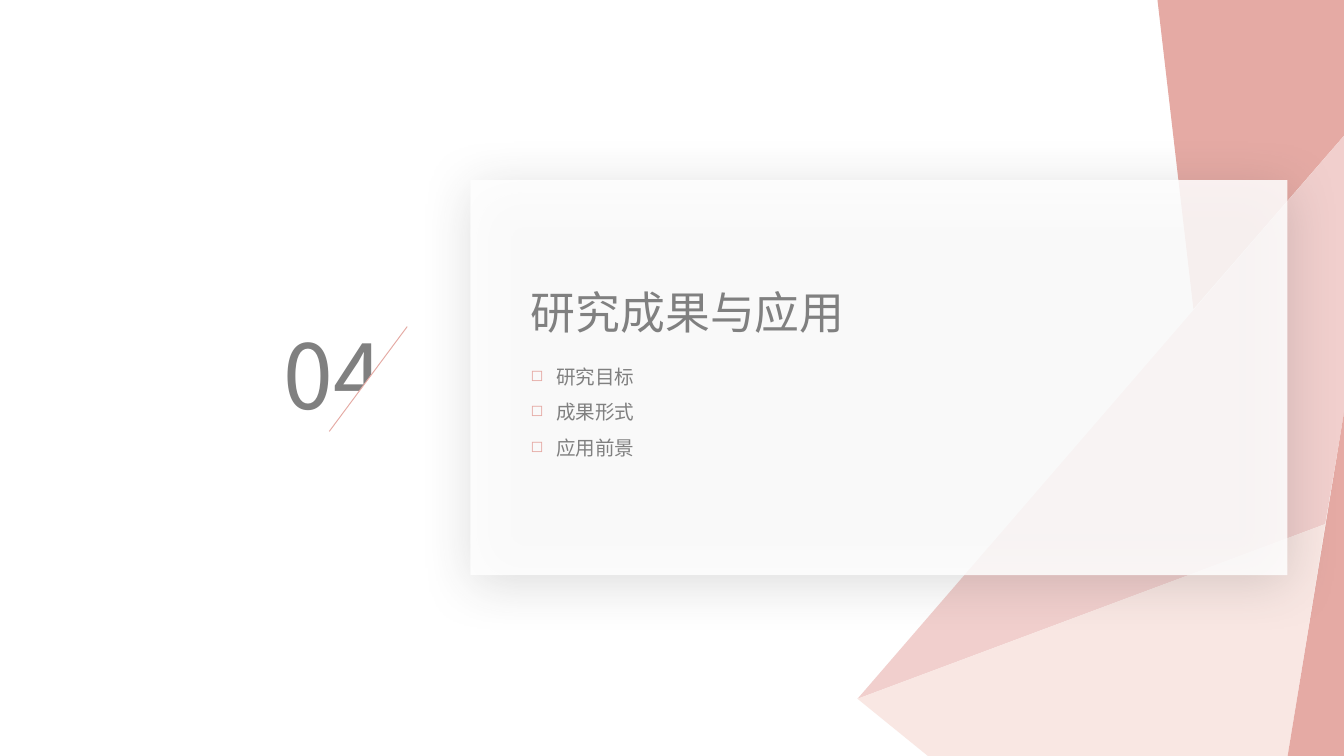
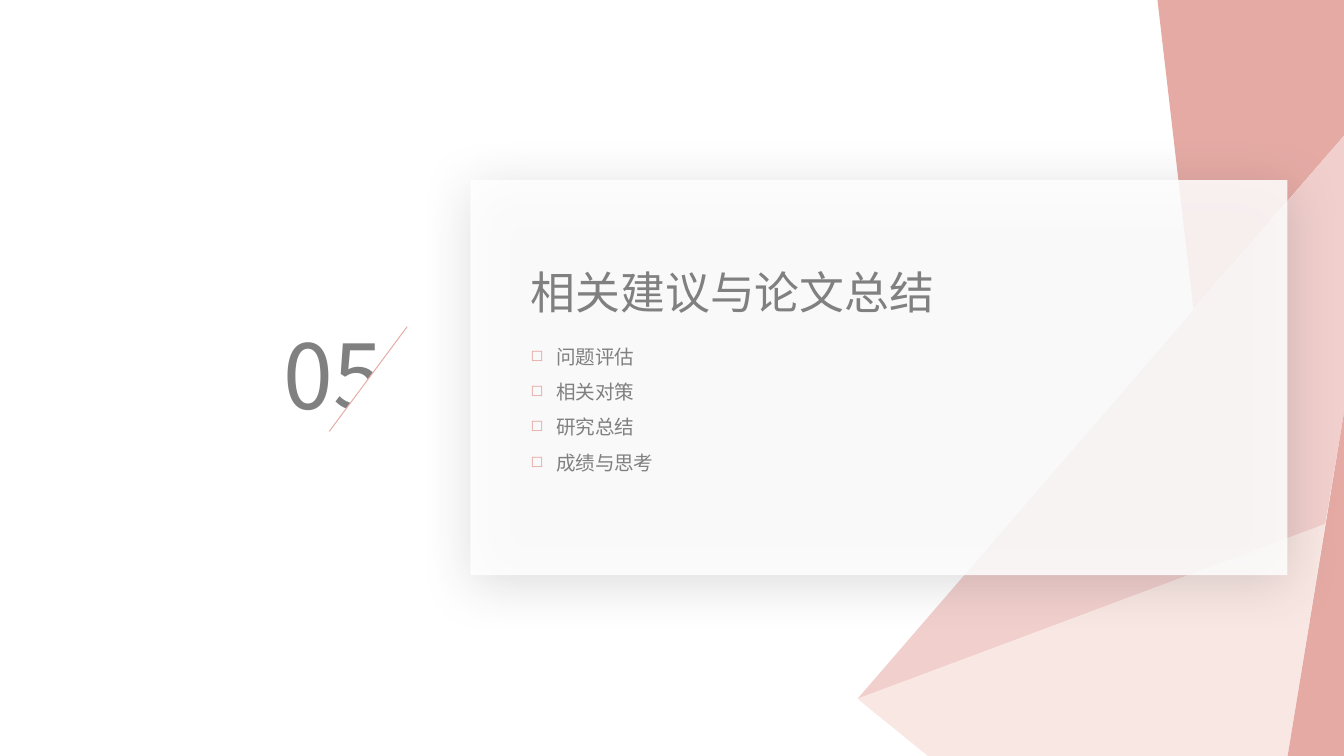
from dataclasses import dataclass

from lxml import etree
from pptx import Presentation
from pptx.dml.color import RGBColor
from pptx.enum.shapes import MSO_CONNECTOR, MSO_SHAPE
from pptx.enum.text import MSO_ANCHOR, MSO_AUTO_SIZE, PP_ALIGN
from pptx.oxml.ns import qn
from pptx.util import Inches, Pt

RECT = MSO_SHAPE.RECTANGLE
RIGHT_TRIANGLE = MSO_SHAPE.RIGHT_TRIANGLE
STRAIGHT = MSO_CONNECTOR.STRAIGHT
LEFT = PP_ALIGN.LEFT
TOP = MSO_ANCHOR.TOP
GROW = MSO_AUTO_SIZE.SHAPE_TO_FIT_TEXT
TITLE_ONLY = 5

FONT = "Noto Sans CJK SC"
WHITE = "FFFFFF"
GREY = "808080"
ROSE = "E5AAA4"
PINK = "F1CFCD"
CREAM = "F9E7E3"
SHADOW = "333333"

TEXT_LEFT = 3.85
LINE_PITCH = 0.26
TITLE_TO_LIST = 0.51


@dataclass(frozen=True)
class Facet:
    color: str
    points: tuple[tuple[float, float], ...]


@dataclass(frozen=True)
class Section:
    number: str
    title: str
    topics: tuple[str, ...]


FACETS = (
    Facet(ROSE, ((8.88, 2.3), (8.61, -0.02), (10, -0.02), (10, 1.01))),
    Facet(PINK, ((6.38, 5.2), (9.86, 3.9), (10, 3.07), (10, 1.01))),
    Facet(CREAM, ((6.38, 5.2), (6.91, 5.63), (9.58, 5.63), (9.86, 3.9))),
    Facet(ROSE, ((9.58, 5.63), (10, 5.63), (10, 3.07))),
)

SECTIONS = (
    Section("04", "研究成果与应用", ("研究目标", "成果形式", "应用前景")),
    Section("05", "相关建议与论文总结", ("问题评估", "相关对策", "研究总结", "成绩与思考")),
)


def rgb(color: str) -> RGBColor:
    return RGBColor.from_string(color)


def add_child(parent, tag: str, **attrs):
    return etree.SubElement(parent, qn(tag), {k: str(v) for k, v in attrs.items()})


def paint(sp, color: str) -> None:
    """Plain fill with neither outline nor shadow."""
    sp.fill.solid()
    sp.fill.fore_color.rgb = rgb(color)
    sp.line.fill.background()
    sp.shadow.inherit = False


def add_run(p, text: str, size: float) -> None:
    r = p.add_run()
    r.text = text
    r.font.size = Pt(size)
    r.font.name = FONT
    r.font.color.rgb = rgb(GREY)
    add_child(r.font._element, "a:ea", typeface=FONT)


def set_frame(sp, wrap: bool):
    tf = sp.text_frame
    tf.word_wrap = wrap
    tf.auto_size = GROW
    tf.vertical_anchor = TOP
    tf.paragraphs[0].alignment = LEFT
    return tf


def add_text_box(slide, left: float, top: float, width: float, height: float):
    sp = slide.shapes.add_textbox(Inches(left), Inches(top), Inches(width), Inches(height))
    return set_frame(sp, True)


def add_facets(slide) -> None:
    for facet in FACETS:
        points = [(Inches(x), Inches(y)) for x, y in facet.points]
        builder = slide.shapes.build_freeform(*points[0])
        builder.add_line_segments(points[1:], close=True)
        paint(builder.convert_to_shape(), facet.color)


def add_card(slide) -> None:
    """Translucent white panel with a soft shadow."""
    card = slide.shapes.add_shape(RECT, Inches(3.5), Inches(1.34), Inches(6.08), Inches(2.94))
    paint(card, WHITE)
    sp_pr = card._element.spPr
    add_child(sp_pr.find(qn("a:solidFill"))[0], "a:alpha", val=85000)
    shadow = add_child(sp_pr.find(qn("a:effectLst")), "a:outerShdw",
                       blurRad=Pt(29), dist=Pt(5), dir=77 * 60000, rotWithShape=0)
    add_child(add_child(shadow, "a:srgbClr", val=SHADOW), "a:alpha", val=20000)


def add_number(slide, number: str) -> None:
    tf = add_text_box(slide, 2.01, 2.33, 0.98, 0.91)
    add_run(tf.paragraphs[0], number, 48)


def add_slash(slide) -> None:
    """White triangle that cuts off the number along a thin diagonal."""
    cut = slide.shapes.add_shape(RIGHT_TRIANGLE, Inches(2.35), Inches(2.53),
                                 Inches(0.78), Inches(0.58))
    cut.rotation = 270
    paint(cut, WHITE)
    line = slide.shapes.add_connector(STRAIGHT, Inches(3.03), Inches(2.43),
                                      Inches(2.45), Inches(3.21))
    line.line.color.rgb = rgb(ROSE)
    line.line.width = Pt(0.5)
    add_child(line._element.spPr, "a:effectLst")


def add_title(slide, title: str, top: float) -> None:
    sp = slide.shapes.title
    slide.shapes._spTree.append(sp._element)  # bring above the card
    sp.left, sp.top = Inches(TEXT_LEFT), Inches(top)
    sp.width, sp.height = Inches(len(title) / 3 + 0.23), Inches(0.5)
    add_run(set_frame(sp, False).paragraphs[0], title, 24)


def add_topics(slide, topics: tuple[str, ...], top: float) -> None:
    tf = add_text_box(slide, TEXT_LEFT, top, 2.5, LINE_PITCH * len(topics) + 0.09)
    for i, topic in enumerate(topics):
        p = tf.add_paragraph() if i else tf.paragraphs[0]
        p.line_spacing = 1.5
        p_pr = p._p.get_or_add_pPr()
        p_pr.set("marL", str(Inches(0.19)))
        p_pr.set("indent", str(-Inches(0.19)))
        add_child(add_child(p_pr, "a:buClr"), "a:srgbClr", val=ROSE)
        add_child(p_pr, "a:buSzPct", val=80000)
        add_child(p_pr, "a:buChar", char="◻")
        add_run(p, topic, 10.5)


def add_section(prs, section: Section) -> None:
    slide = prs.slides.add_slide(prs.slide_layouts[TITLE_ONLY])
    top = 2.52 - 0.15 * len(section.topics)
    add_facets(slide)
    add_card(slide)
    add_number(slide, section.number)
    add_title(slide, section.title, top)
    add_slash(slide)
    add_topics(slide, section.topics, top + TITLE_TO_LIST)


def main() -> None:
    prs = Presentation()
    prs.slide_width = Inches(10)
    prs.slide_height = prs.slide_width * 9 // 16
    for section in SECTIONS:
        add_section(prs, section)
    prs.save("out.pptx")


if __name__ == "__main__":
    main()
